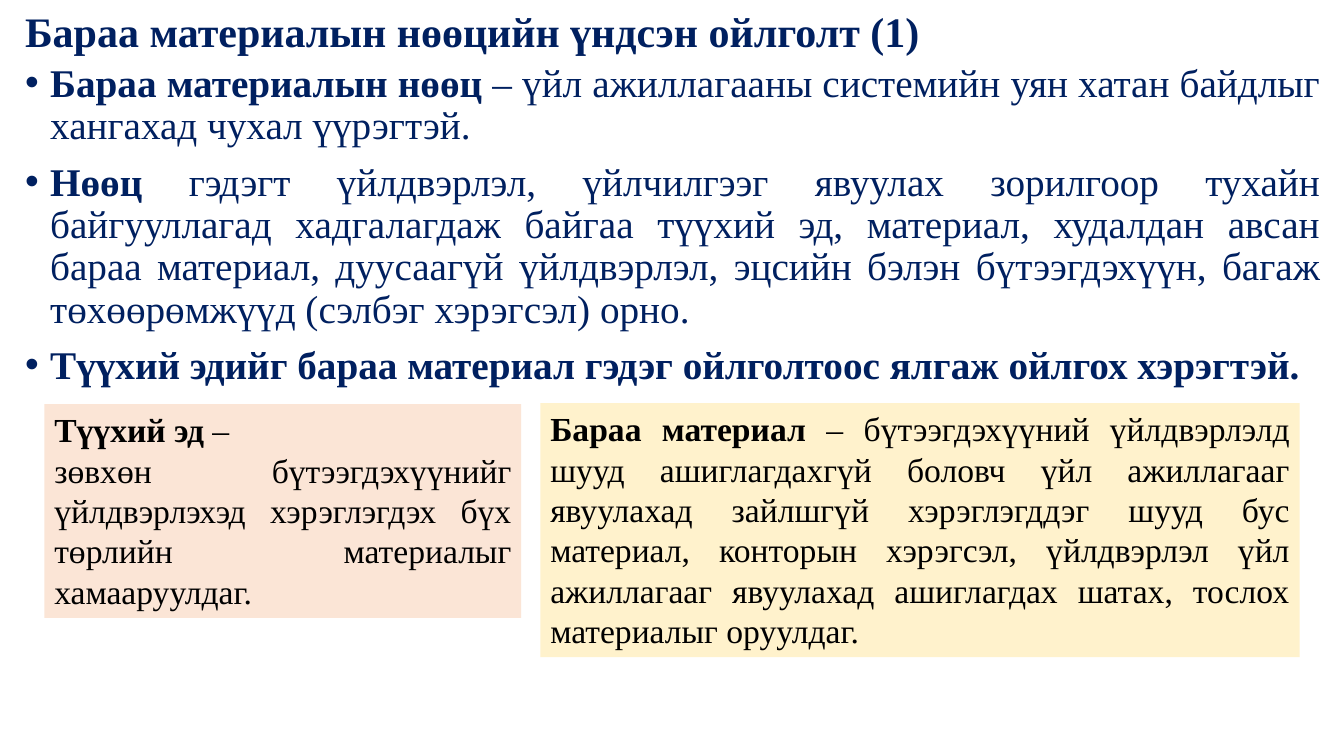
from pptx import Presentation
from pptx.dml.color import RGBColor
from pptx.enum import shapes, text
from pptx.oxml.ns import qn
from pptx.util import Inches, Pt
from lxml import etree

NAVY = RGBColor(0x00, 0x20, 0x60)
BLACK = RGBColor(0x00, 0x00, 0x00)
PEACH = RGBColor(0xFB, 0xE5, 0xD6)
CREAM = RGBColor(0xFF, 0xF2, 0xCC)
FONT = "Times New Roman"

TITLE = "Бараа материалын нөөцийн үндсэн ойлголт (1)"
POINTS = [
    [("Бараа материалын нөөц ", True),
     ("– үйл ажиллагааны системийн уян хатан байдлыг хангахад чухал үүрэгтэй.", False)],
    [("Нөөц ", True),
     ("гэдэгт үйлдвэрлэл, үйлчилгээг явуулах зорилгоор тухайн байгууллагад "
      "хадгалагдаж байгаа түүхий эд, материал, худалдан авсан бараа материал, "
      "дуусаагүй үйлдвэрлэл, эцсийн бэлэн бүтээгдэхүүн, багаж төхөөрөмжүүд "
      "(сэлбэг хэрэгсэл) орно.", False)],
    [("Түүхий эдийг бараа материал гэдэг ойлголтоос ялгаж ойлгох хэрэгтэй.", True)],
]
RAW_MATERIAL = [
    [("Түүхий эд", True), (" –", False)],
    [("зөвхөн бүтээгдэхүүнийг үйлдвэрлэхэд хэрэглэгдэх бүх төрлийн материалыг "
      "хамааруулдаг.", False)],
]
SUPPLIES = [
    [("Бараа материал ", True),
     ("– бүтээгдэхүүний үйлдвэрлэлд шууд ашиглагдахгүй боловч үйл ажиллагааг "
      "явуулахад зайлшгүй хэрэглэгддэг шууд бус материал, конторын хэрэгсэл, "
      "үйлдвэрлэл үйл ажиллагааг явуулахад ашиглагдах шатах, тослох материалыг "
      "оруулдаг.", False)],
]


def add_bullet(paragraph):
    properties = paragraph._p.get_or_add_pPr()
    properties.set("marL", str(Inches(0.25)))
    properties.set("indent", str(-Inches(0.25)))
    etree.SubElement(properties, qn("a:buFont")).set("typeface", "Arial")
    etree.SubElement(properties, qn("a:buChar")).set("char", "•")


def write(frame, passages, size, color, align, bulleted=False, line_spacing=None):
    frame.word_wrap = True
    for index, passage in enumerate(passages):
        paragraph = frame.add_paragraph() if index else frame.paragraphs[0]
        if bulleted:
            add_bullet(paragraph)
            paragraph.space_before = Pt(10 if index else 0)
        paragraph.alignment = align
        paragraph.line_spacing = line_spacing
        paragraph.font.name = FONT
        paragraph.font.size = Pt(size)
        paragraph.font.color.rgb = color
        for words, bold in passage:
            run = paragraph.add_run()
            run.text = words
            run.font.bold = bold


def add_title(slide, box):
    frame = slide.shapes.add_textbox(*map(Inches, box)).text_frame
    frame.vertical_anchor = text.MSO_ANCHOR.MIDDLE
    write(frame, [[(TITLE, True)]], 30, NAVY, text.PP_ALIGN.LEFT, line_spacing=0.9)


def add_points(slide, box):
    frame = slide.shapes.add_textbox(*map(Inches, box)).text_frame
    write(frame, POINTS, 28, NAVY, text.PP_ALIGN.JUSTIFY, bulleted=True, line_spacing=0.9)


def add_definition(slide, box, passages, fill):
    panel = slide.shapes.add_shape(shapes.MSO_SHAPE.RECTANGLE, *map(Inches, box))
    panel.shadow.inherit = False
    panel.fill.solid()
    panel.fill.fore_color.rgb = fill
    panel.line.fill.background()
    panel.text_frame.vertical_anchor = text.MSO_ANCHOR.TOP
    write(panel.text_frame, passages, 24, BLACK, text.PP_ALIGN.JUSTIFY)


def main():
    deck = Presentation()
    deck.slide_width, deck.slide_height = Inches(13.33), Inches(7.5)
    slide = deck.slides.add_slide(deck.slide_layouts[6])
    add_title(slide, (0.15, 0.13, 13.04, 0.42))
    add_points(slide, (0.15, 0.58, 13.04, 3.39))
    add_definition(slide, (0.44, 4.01, 4.73, 2.12), RAW_MATERIAL, PEACH)
    add_definition(slide, (5.36, 4, 7.53, 2.52), SUPPLIES, CREAM)
    deck.save("out.pptx")


if __name__ == "__main__":
    main()
